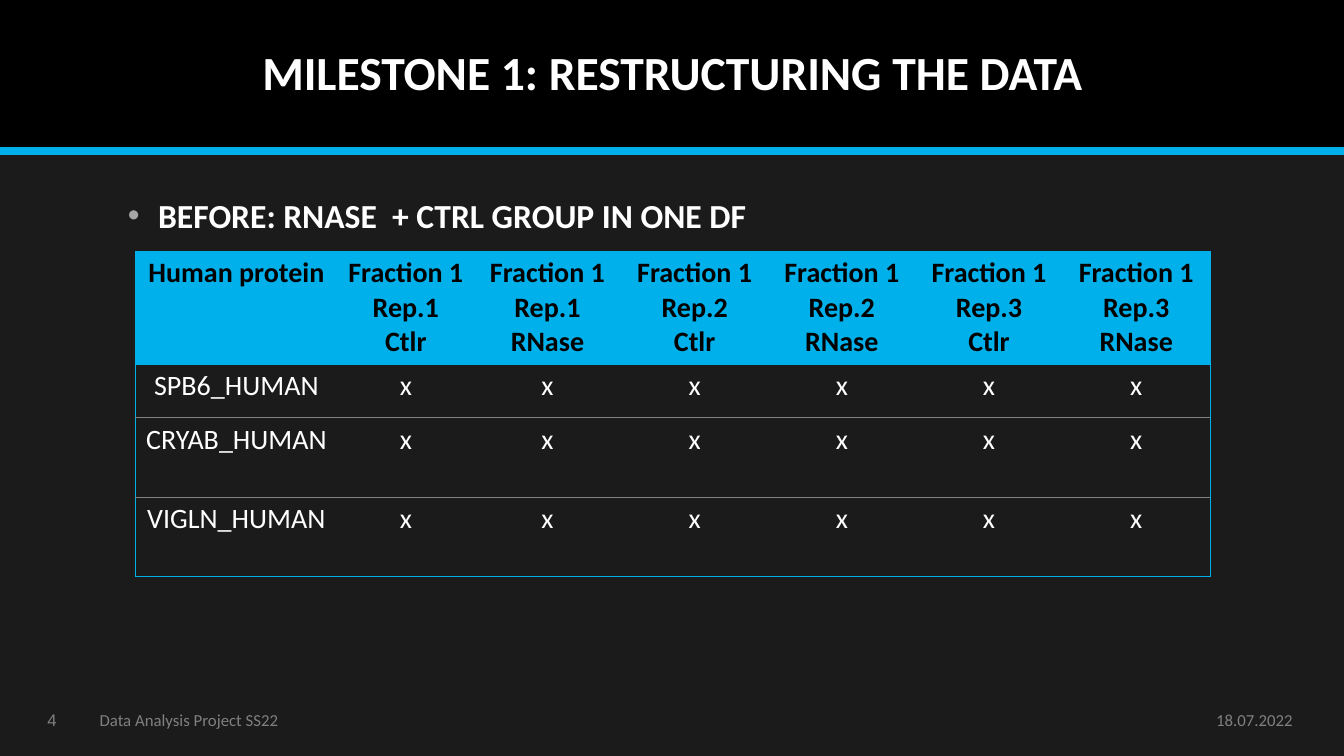
"""Builds the slide on restructuring the protein data, with its table of replicates."""
from itertools import product

from lxml import etree
from pptx import Presentation
from pptx import util as u
from pptx.dml.color import RGBColor
from pptx.enum import shapes, text
from pptx.oxml.ns import qn

THEME = {
    "back": "1B1B1B", "band": "000000", "blue": "00B0EA", "white": "FFFFFF",
    "grey": "808080", "dot": "A6A6A6", "font": "Calibri", "num": "Arial",
    "title": 34, "point": 24, "cell": 20, "foot": 12, "rule": 6, "edge": 0.5,
}
COLS, ROWS, UNIT = 133.3, 75, 0.1
BAND = 15
MID, TOP = text.MSO_ANCHOR.MIDDLE, text.MSO_ANCHOR.TOP
LEFT, CENTRE, RIGHT = text.PP_ALIGN.LEFT, text.PP_ALIGN.CENTER, text.PP_ALIGN.RIGHT

FOOT = {"size": "foot", "tint": "grey"}
HEAD = {"tint": "white", "bold": True}
TEXTS = [
    ("MILESTONE 1: RESTRUCTURING THE DATA", (11.7, 1.4, 110, 12), MID,
     {**HEAD, "size": "title", "align": CENTRE, "space": 0.9}),
    ("BEFORE: RNASE  + CTRL GROUP IN ONE DF", (11.7, 18.8, 73, 48.8), TOP,
     {**HEAD, "size": "point", "dot": 0.3}),
    ("18.07.2022", (103.8, 69.9, 25.4, 3), MID, {**FOOT, "align": RIGHT}),
    ("Data Analysis Project SS22", (8.9, 69.9, 89, 3), MID, FOOT),
    ("4", (0.9, 69.9, 5.7, 3), MID, {**FOOT, "align": RIGHT, "font": "num"}),
]
PROTEINS = ["SPB6_HUMAN", "CRYAB_HUMAN", "VIGLN_HUMAN"]
RUNS = [f"Fraction 1\nRep.{rep}\n{group}"
        for rep, group in product((1, 2, 3), ("Ctlr", "RNase"))]
GRID = [["Human protein", *RUNS]] + [[name] + ["x"] * len(RUNS) for name in PROTEINS]
PLACE = (13.4, 24.9)
WIDTHS = [20.1, 13.5] + [14.6] * 5
HEIGHTS = [11.2, 5.3, 7.9, 7.9]


def span(count):
    return u.Inches(count * UNIT)


def hue(name):
    return RGBColor.from_string(THEME[name])


def paint(fill, name):
    fill.solid()
    fill.fore_color.rgb = hue(name)


def style(para, size, tint, bold=False, align=LEFT, font="font", space=None, dot=0):
    para.alignment = align
    if space:
        para.line_spacing = space
    for run in para.runs:
        looks = {"size": u.Pt(THEME[size]), "name": THEME[font], "bold": bold}
        for key, value in looks.items():
            setattr(run.font, key, value)
        run.font.color.rgb = hue(tint)
    if dot:
        props = para._p.get_or_add_pPr()
        props.set("marL", str(u.Inches(dot)))
        props.set("indent", str(-u.Inches(dot)))
        shade = etree.SubElement(props, qn("a:buClr"))
        etree.SubElement(shade, qn("a:srgbClr"), val=THEME["dot"])
        etree.SubElement(props, qn("a:buFont"), typeface="Arial")
        etree.SubElement(props, qn("a:buChar"), char="•")


def write(slide, words, place, anchor, looks):
    frame = slide.shapes.add_textbox(*map(span, place)).text_frame
    for key, value in {"word_wrap": True, "vertical_anchor": anchor, "text": words}.items():
        setattr(frame, key, value)
    style(frame.paragraphs[0], **looks)


def edge(cell, sides):
    props = cell._tc.get_or_add_tcPr()
    for spot, (side, tint) in enumerate(sides.items()):
        line = etree.Element(qn(f"a:ln{side}"), w=str(u.Pt(THEME["edge"])))
        if tint:
            solid = etree.SubElement(line, qn("a:solidFill"))
            etree.SubElement(solid, qn("a:srgbClr"), val=THEME[tint])
        else:
            etree.SubElement(line, qn("a:noFill"))
        props.insert(spot, line)


def header(slide):
    band = slide.shapes.add_shape(shapes.MSO_SHAPE.RECTANGLE, 0, 0, span(COLS), span(BAND))
    band.shadow.inherit = False
    paint(band.fill, "band")
    band.line.fill.background()
    rule = slide.shapes.add_connector(
        shapes.MSO_CONNECTOR.STRAIGHT, 0, span(BAND), span(COLS), span(BAND))
    rule.line.color.rgb = hue("blue")
    rule.line.width = u.Pt(THEME["rule"])
    etree.SubElement(rule._element.spPr, qn("a:effectLst"))


def fill_table(slide):
    size = (sum(WIDTHS), sum(HEIGHTS))
    table = slide.shapes.add_table(
        len(GRID), len(WIDTHS), *map(span, PLACE + size)).table
    table.horz_banding = False
    for col, wide in zip(table.columns, WIDTHS):
        col.width = span(wide)
    for row, high in zip(table.rows, HEIGHTS):
        row.height = span(high)
    last, end = len(GRID) - 1, len(WIDTHS) - 1
    for i, j in product(range(last + 1), range(end + 1)):
        cell, top = table.cell(i, j), i == 0
        cell.text = GRID[i][j]
        for para in cell.text_frame.paragraphs:
            style(para, "cell", "band" if top else "white", bold=top, align=CENTRE)
        if top:
            paint(cell.fill, "blue")
        else:
            cell.fill.background()
        edge(cell, {
            "L": "blue" if j == 0 else None,
            "R": "blue" if j == end else None,
            "T": "blue" if i <= 1 else "grey",
            "B": "blue" if i in (0, last) else "grey",
        })


def main():
    deck = Presentation()
    deck.slide_width, deck.slide_height = span(COLS), span(ROWS)
    slide = deck.slides.add_slide(deck.slide_layouts[6])
    paint(slide.background.fill, "back")
    header(slide)
    for item in TEXTS:
        write(slide, *item)
    fill_table(slide)
    deck.save("out.pptx")


if __name__ == "__main__":
    main()
